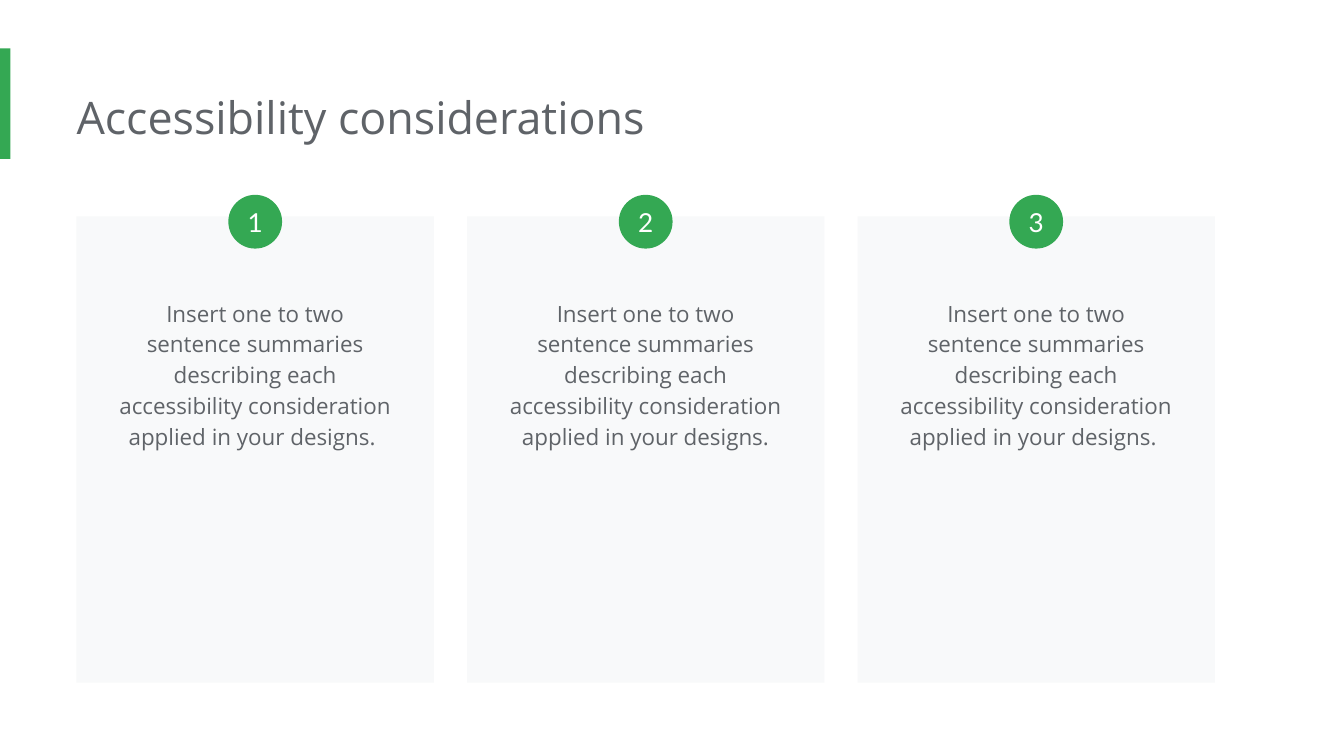
from dataclasses import dataclass

from pptx import Presentation
from pptx.dml.color import RGBColor
from pptx.enum.shapes import MSO_SHAPE
from pptx.enum.text import MSO_ANCHOR, MSO_AUTO_SIZE, PP_ALIGN
from pptx.shapes.autoshape import Shape
from pptx.slide import Slide
from pptx.text.text import TextFrame
from pptx.util import Pt

GREEN = RGBColor(0x34, 0xA8, 0x53)
GREY = RGBColor(0x5F, 0x63, 0x68)
PALE = RGBColor(0xF8, 0xF9, 0xFA)
WHITE = RGBColor(0xFF, 0xFF, 0xFF)

# Card grid, in points
LEFT, TOP, PITCH = 41, 115.9, 209.2
CARD_W, CARD_H = 191.5, 249.8
BADGE, BADGE_TOP = 28.8, 104.4
TEXT_W, TEXT_TOP, TEXT_H = 161.3, 151.2, 95.8

SUMMARY = ("Insert one to two sentence summaries describing each "
           "accessibility consideration applied in your designs.")


@dataclass
class Card:
    number: str
    summary: str


CARDS = [Card("1", SUMMARY + " "), Card("2", SUMMARY), Card("3", SUMMARY + " ")]


def add_block(s: Slide, kind: MSO_SHAPE, x: float, y: float,
              w: float, h: float, color: RGBColor) -> Shape:
    sp = s.shapes.add_shape(kind, Pt(x), Pt(y), Pt(w), Pt(h))
    sp.shadow.inherit = False
    sp.fill.solid()
    sp.fill.fore_color.rgb = color
    sp.line.fill.background()
    return sp


def set_text(tf: TextFrame, text: str, font: str, size: float, color: RGBColor,
             align: PP_ALIGN, anchor: MSO_ANCHOR, margin: float) -> None:
    tf.text = text
    tf.word_wrap = True
    tf.auto_size = MSO_AUTO_SIZE.NONE
    tf.vertical_anchor = anchor
    tf.margin_left = tf.margin_right = Pt(margin)
    tf.margin_top = tf.margin_bottom = Pt(margin)
    p = tf.paragraphs[0]
    p.alignment = align
    r = p.runs[0]
    r.font.name = font
    r.font.size = Pt(size)
    r.font.color.rgb = color


def add_card(s: Slide, card: Card, x: float) -> None:
    center = x + CARD_W / 2
    add_block(s, MSO_SHAPE.RECTANGLE, x, TOP, CARD_W, CARD_H, PALE)

    # Numbered badge over the top edge
    badge = add_block(s, MSO_SHAPE.OVAL, center - BADGE / 2, BADGE_TOP,
                      BADGE, BADGE, GREEN)
    set_text(badge.text_frame, card.number, "Lato", 14, WHITE,
             PP_ALIGN.CENTER, MSO_ANCHOR.MIDDLE, 0)

    # Summary
    box = s.shapes.add_textbox(Pt(center - TEXT_W / 2), Pt(TEXT_TOP),
                               Pt(TEXT_W), Pt(TEXT_H))
    set_text(box.text_frame, card.summary, "Open Sans", 12, GREY,
             PP_ALIGN.CENTER, MSO_ANCHOR.TOP, 7.2)
    box.text_frame.paragraphs[0].line_spacing = 1.15


def main() -> None:
    prs = Presentation()
    prs.slide_width, prs.slide_height = Pt(720), Pt(405)
    s = prs.slides.add_slide(prs.slide_layouts[5])

    # Accent bar and title
    add_block(s, MSO_SHAPE.RECTANGLE, 0, 26, 5.6, 59.2, GREEN)
    title = s.shapes.title
    title.left, title.top = Pt(LEFT), Pt(41)
    title.width, title.height = Pt(551.5), Pt(44)
    set_text(title.text_frame, "Accessibility considerations", "Open Sans", 24,
             GREY, PP_ALIGN.LEFT, MSO_ANCHOR.TOP, 7.2)
    title.text_frame.margin_left = Pt(0)

    # Cards
    for i, card in enumerate(CARDS):
        add_card(s, card, LEFT + i * PITCH)

    prs.save("out.pptx")


if __name__ == "__main__":
    main()
